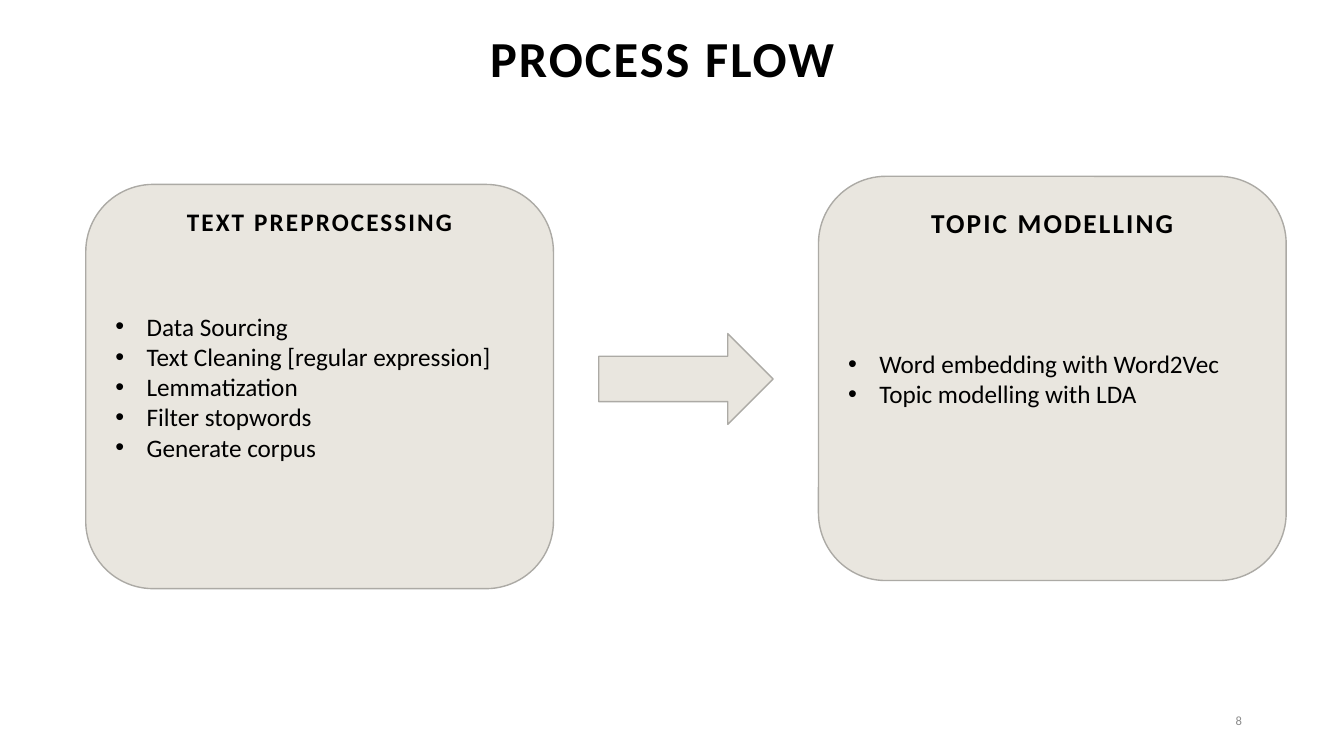
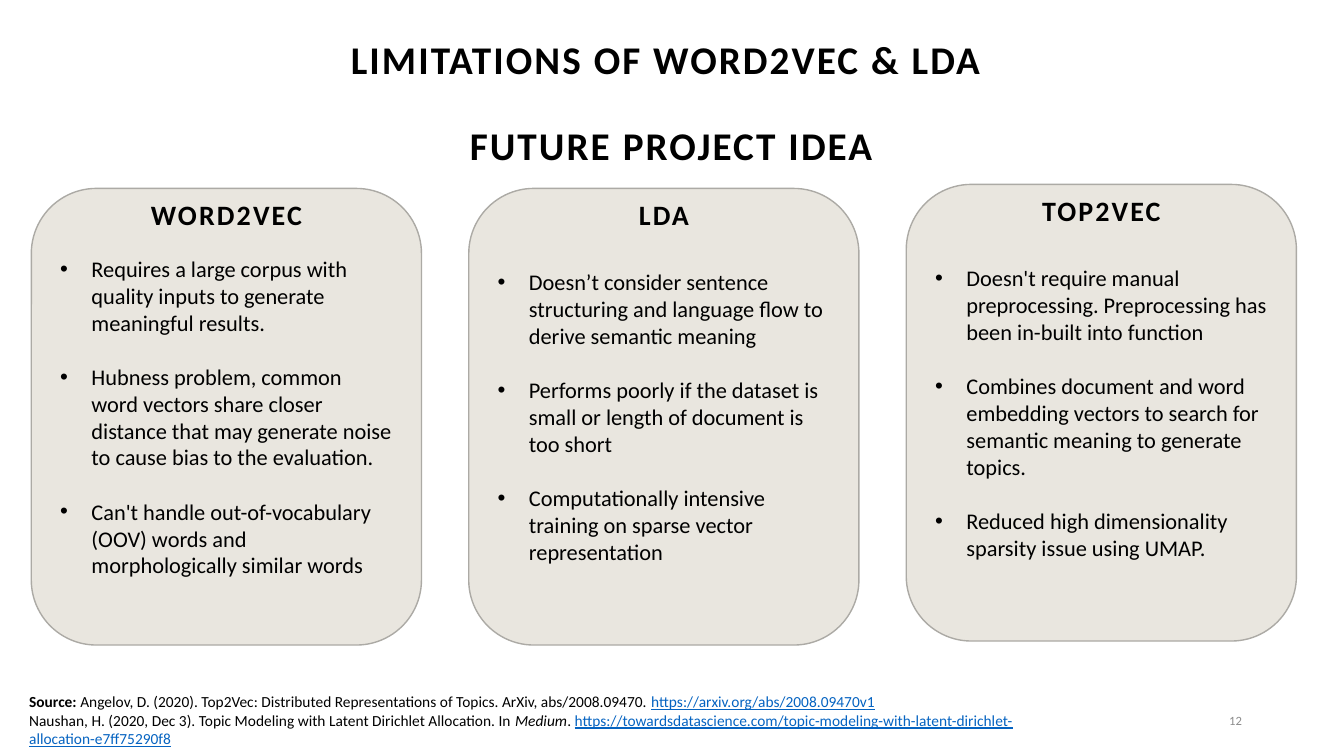
from dataclasses import dataclass

from lxml import etree
from pptx import Presentation
from pptx.dml.color import RGBColor
from pptx.enum.shapes import MSO_SHAPE
from pptx.enum.text import MSO_ANCHOR, PP_ALIGN
from pptx.oxml.ns import qn
from pptx.util import Inches, Pt

ROUNDED = MSO_SHAPE.ROUNDED_RECTANGLE
ARROW = MSO_SHAPE.RIGHT_ARROW
MIDDLE, TOP = MSO_ANCHOR.MIDDLE, MSO_ANCHOR.TOP
LEFT, CENTER, RIGHT = PP_ALIGN.LEFT, PP_ALIGN.CENTER, PP_ALIGN.RIGHT


@dataclass(frozen=True)
class Theme:
    font: str = "Calibri"
    bullet_font: str = "Arial"
    text: str = "000000"
    muted: str = "8C8C8C"
    link: str = "0563C1"
    panel: str = "E9E6DF"
    outline: str = "ACAAA5"
    number_size: float = 9
    source_size: float = 11
    heading_spacing: float = 1.5
    heading_leading: float = 0.9
    bullet_indent: float = 0.31


class Deck:
    """Holds the style and the current slide; lengths are percent of the slide."""

    def __init__(self, theme):
        self.theme = theme
        self.presentation = Presentation()
        self.presentation.slide_width = Inches(13.333)
        self.presentation.slide_height = Inches(7.5)
        self.slide = None

    def start_slide(self, number):
        self.slide = self.presentation.slides.add_slide(self.presentation.slide_layouts[6])
        frame = self.text_box(70.65, 92.67, 22.5, 5.33)
        self.add_run(self.add_paragraph(frame, RIGHT), number,
                     self.theme.number_size, color=self.theme.muted)

    def place(self, left, top, width, height):
        column = self.presentation.slide_width / 100
        row = self.presentation.slide_height / 100
        return [round(length) for length in
                (left * column, top * row, width * column, height * row)]

    def text_box(self, left, top, width, height, anchor=MIDDLE):
        box = self.slide.shapes.add_textbox(*self.place(left, top, width, height))
        box.text_frame.word_wrap = True
        box.text_frame.vertical_anchor = anchor
        return box.text_frame

    def add_paragraph(self, frame, alignment=LEFT, gap=0):
        """Use the empty first paragraph, or add one set off by a gap in points."""
        first = frame.paragraphs[0]
        if first.runs:
            paragraph = frame.add_paragraph()
            paragraph.space_before = Pt(gap)
        else:
            paragraph = first
        paragraph.alignment = alignment
        return paragraph

    def add_run(self, paragraph, text, size, color=None, **styles):
        run = paragraph.add_run()
        run.text = text
        font = run.font
        font.name = self.theme.font
        font.size = Pt(size)
        font.color.rgb = RGBColor.from_string(color or self.theme.text)
        for name, value in styles.items():
            setattr(font, name, value)
        return run

    def heading(self, lines, size, left, top, width, height, gap=0):
        frame = self.text_box(left, top, width, height)
        for line in lines:
            paragraph = self.add_paragraph(frame, CENTER, gap)
            paragraph.line_spacing = self.theme.heading_leading
            run = self.add_run(paragraph, line, size, bold=True)
            spacing = round(self.theme.heading_spacing * 100)
            run._r.get_or_add_rPr().set("spc", str(spacing))

    def title(self, lines, size, left, top, gap=0):
        self.heading(lines, size, left, top, 66, 6.67, gap)

    def panel(self, kind, left, top, width, height):
        shape = self.slide.shapes.add_shape(kind, *self.place(left, top, width, height))
        shape.shadow.inherit = False
        shape.fill.solid()
        shape.fill.fore_color.rgb = RGBColor.from_string(self.theme.panel)
        shape.line.color.rgb = RGBColor.from_string(self.theme.outline)
        shape.line.width = Pt(1)
        return shape

    def add_bullet(self, paragraph):
        properties = paragraph._p.get_or_add_pPr()
        indent = Inches(self.theme.bullet_indent)
        properties.set("marL", str(indent))
        properties.set("indent", str(-indent))
        etree.SubElement(properties, qn("a:buFont")).set("typeface", self.theme.bullet_font)
        etree.SubElement(properties, qn("a:buChar")).set("char", "•")

    def card(self, heading, items, box, heading_size, heading_drop, size, gap=0):
        """A rounded panel of bullets, with a heading centred near its top."""
        left, top, width, _ = box
        frame = self.panel(ROUNDED, *box).text_frame
        frame.word_wrap = True
        frame.vertical_anchor = MIDDLE
        for item in items:
            paragraph = self.add_paragraph(frame, LEFT, gap)
            self.add_bullet(paragraph)
            self.add_run(paragraph, item, size)
        heading_width = 24.6
        self.heading([heading], heading_size, left + (width - heading_width) / 2,
                     top + heading_drop, heading_width, 7.33)

    def sources(self, references):
        frame = self.text_box(1.43, 90.93, 79.35, 9, TOP)
        for reference in references:
            paragraph = self.add_paragraph(frame)
            for text, styles in reference:
                self.add_run(paragraph, text, self.theme.source_size, **styles)


def build_process_flow(deck):
    deck.start_slide("8")
    width, height = 34.8, 53.47
    deck.card("TEXT PREPROCESSING",
              ["Data Sourcing", "Text Cleaning [regular expression]", "Lemmatization",
               "Filter stopwords", "Generate corpus"],
              (6.38, 24.4, width, height), 18, 1.47, 18)
    deck.panel(ARROW, 44.55, 44.13, 12.98, 12)
    deck.card("TOPIC MODELLING",
              ["Word embedding with Word2Vec", "Topic modelling with LDA"],
              (60.9, 23.33, width, height), 19.5, 2.67, 18)
    deck.title(["PROCESS FLOW"], 36, 16.28, 4.8)


def build_limitations(deck):
    deck.start_slide("12")
    deck.title(["LIMITATIONS OF WORD2VEC & LDA ", "FUTURE PROJECT IDEA"],
               28, 16.95, 10.53, gap=31)
    cards = [
        ("WORD2VEC", 24.93, [
            "Requires a large corpus with quality inputs to generate meaningful results.",
            "Hubness problem, common word vectors share closer distance that may "
            "generate noise to cause bias to the evaluation.",
            "Can't handle out-of-vocabulary (OOV) words and morphologically similar words"]),
        ("LDA", 24.93, [
            "Doesn’t consider sentence structuring and language flow to derive "
            "semantic meaning",
            "Performs poorly if the dataset is small or length of document is too short",
            "Computationally intensive training on sparse vector representation"]),
        ("TOP2VEC", 24.4, [
            "Doesn't require manual preprocessing. Preprocessing has been in-built "
            "into function",
            "Combines document and word embedding vectors to search for semantic "
            "meaning to generate topics.",
            "Reduced high dimensionality sparsity issue using UMAP."]),
    ]
    first_left, step = 2.33, 32.55
    for index, (heading, top, items) in enumerate(cards):
        deck.card(heading, items, (first_left + index * step, top, 29.03, 60.4),
                  20, 0, 16, gap=19.5)
    link = {"color": deck.theme.link, "underline": True}
    deck.sources([
        [("Source: ", {"bold": True}),
         ("Angelov, D. (2020). Top2Vec: Distributed Representations of Topics. "
          "ArXiv, abs/2008.09470. ", {}),
         ("https://arxiv.org/abs/2008.09470v1", link)],
        [("Naushan, H. (2020, Dec 3). Topic Modeling with Latent Dirichlet "
          "Allocation. In ", {}),
         ("Medium", {"italic": True}),
         (". ", {}),
         ("https://towardsdatascience.com/topic-modeling-with-latent-dirichlet-"
          "allocation-e7ff75290f8", link)],
    ])


def main():
    deck = Deck(Theme())
    build_process_flow(deck)
    build_limitations(deck)
    deck.presentation.save("out.pptx")


if __name__ == "__main__":
    main()
